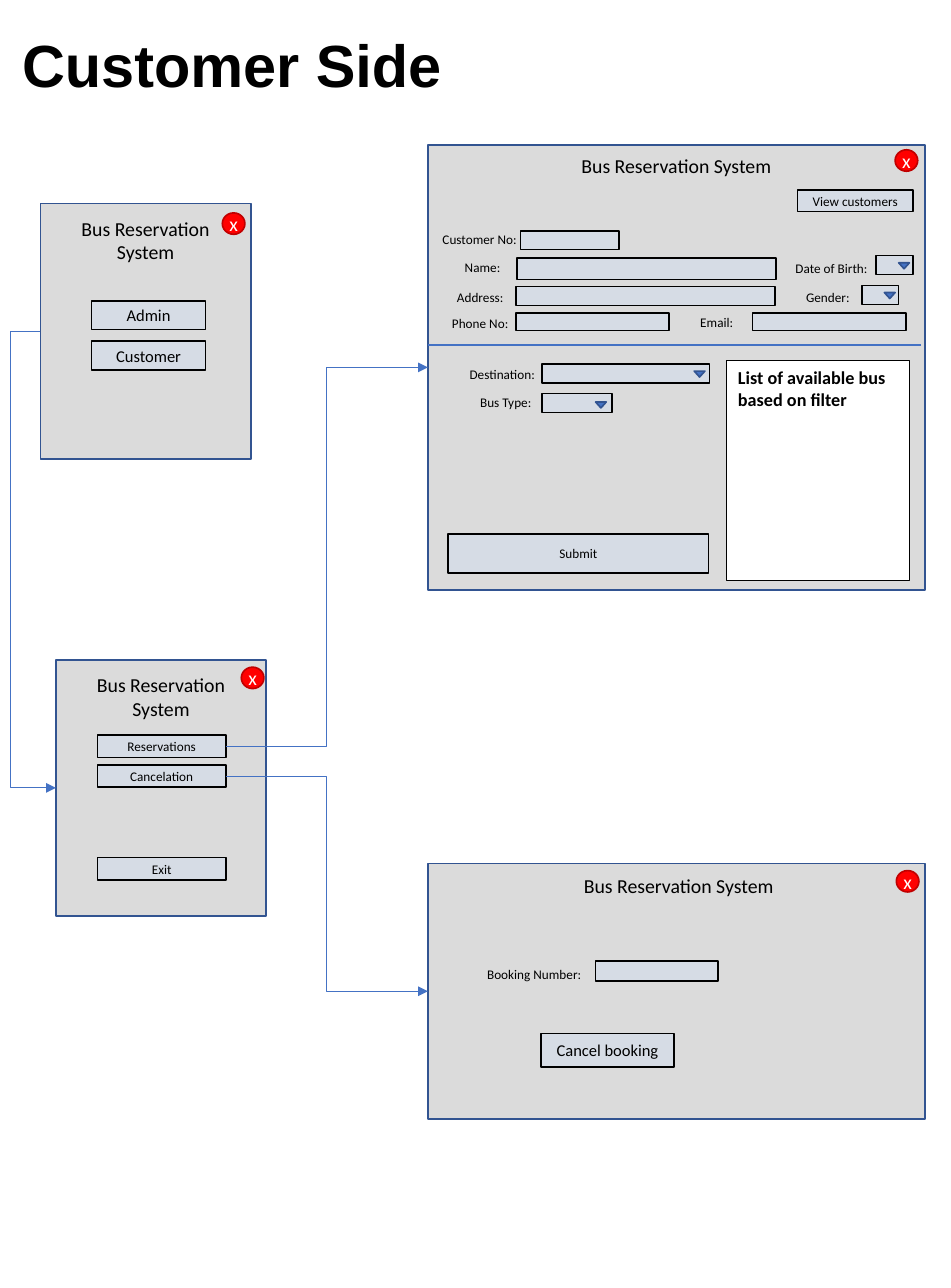
"""Build the customer-side wireframe flow of a bus reservation system."""
from dataclasses import dataclass
from typing import Optional

from lxml import etree
from pptx import Presentation
from pptx import util as u
from pptx.dml import color
from pptx.enum import shapes, text
from pptx.oxml import ns

PX = 9144
Kind = shapes.MSO_SHAPE
Link = shapes.MSO_CONNECTOR
Align = text.PP_ALIGN


@dataclass(frozen=True)
class Theme:
    ink: str = "000000"
    white: str = "FFFFFF"
    panel: str = "DBDBDB"
    field: str = "D6DCE5"
    blue: str = "4472C4"
    edge: str = "325491"
    red: str = "FF0000"
    rim: str = "C00000"
    body: str = "Calibri"
    head: str = "Arial"
    small: int = 8
    mid: int = 10
    list: int = 11
    name: int = 12
    title: int = 36


@dataclass(frozen=True)
class Box:
    x: int
    y: int
    w: int
    h: int
    words: str = ""
    size: int = Theme.small


@dataclass(frozen=True)
class Window:
    frame: Box
    name: Box
    close: tuple[int, int]
    labels: tuple[Box, ...] = ()
    fields: tuple[Box, ...] = ()
    arrows: tuple[tuple[int, int], ...] = ()


T = Theme()
NAME = "Bus Reservation System"

START = Window(
    Box(34, 171, 177, 215), Box(34, 177, 177, 50, NAME, T.name), (187, 179),
    fields=(Box(77, 253, 96, 24, "Admin", T.mid),
            Box(77, 287, 96, 24, "Customer", T.mid)))

MENU = Window(
    Box(47, 555, 177, 215), Box(47, 561, 177, 50, NAME, T.name), (203, 561),
    fields=tuple(Box(82, y, 108, 19, words) for y, words in
                 ((618, "Reservations"), (643, "Cancelation"), (721, "Exit"))))

BOOK = Window(
    Box(360, 122, 418, 374), Box(360, 124, 418, 30, NAME, T.name), (753, 126),
    labels=(Box(371, 213, 70, 24, "Name:"),
            Box(362, 190, 83, 24, "Customer No:"),
            Box(649, 214, 101, 24, "Date of Birth:"),
            Box(369, 238, 70, 24, "Address:"),
            Box(665, 238, 63, 24, "Gender:"),
            Box(369, 260, 70, 24, "Phone No:"),
            Box(568, 259, 70, 24, "Email:"),
            Box(372, 303, 101, 24, "Destination:"),
            Box(377, 327, 97, 24, "Bus Type:")),
    fields=(Box(671, 160, 97, 18, "View customers"),
            Box(435, 217, 218, 18),
            Box(438, 194, 83, 16),
            Box(434, 241, 218, 16),
            Box(725, 240, 31, 16),
            Box(737, 215, 31, 16),
            Box(434, 263, 129, 15),
            Box(633, 263, 129, 15),
            Box(456, 306, 141, 16),
            Box(456, 331, 59, 16),
            Box(377, 449, 219, 33, "Submit")),
    arrows=((744, 246), (756, 221), (584, 312), (501, 338)))

CANCEL = Window(
    Box(360, 726, 418, 215), Box(362, 730, 418, 50, NAME, T.name), (754, 732),
    labels=(Box(388, 808, 123, 24, "Booking Number:"),),
    fields=(Box(501, 808, 103, 17),
            Box(455, 869, 112, 28, "Cancel booking", T.mid)))

BUSES = Box(611, 303, 154, 185, "List of available bus based on filter", T.list)
TITLE = Box(7, 19, 376, 71, "Customer Side", T.title)


def rgb(code: str) -> color.RGBColor:
    """Turn a hex code into a colour."""
    return color.RGBColor.from_string(code)


def write(frame, box: Box, ink: str = T.ink, font: str = T.body,
          bold: bool = False, align=Align.CENTER):
    """Put the words of a box in a text frame."""
    frame.word_wrap = True
    par = frame.paragraphs[0]
    par.alignment = align
    run = par.add_run()
    run.text = box.words
    run.font.name, run.font.size = font, u.Pt(box.size)
    run.font.bold = bold
    run.font.color.rgb = rgb(ink)
    return par


def shape(slide, kind, box: Box, fill: str, line: str, width: float = 1):
    """Add a filled and outlined preset shape."""
    item = slide.shapes.add_shape(
        kind, box.x * PX, box.y * PX, box.w * PX, box.h * PX)
    item.shadow.inherit = False
    item.fill.solid()
    item.fill.fore_color.rgb = rgb(fill)
    item.line.color.rgb = rgb(line)
    item.line.width = u.Pt(width)
    return item


def label(slide, box: Box, font: str = T.body, bold: bool = False):
    """Add a text box that grows with its words."""
    item = slide.shapes.add_textbox(
        box.x * PX, box.y * PX, box.w * PX, box.h * PX)
    write(item.text_frame, box, font=font, bold=bold)
    item.text_frame.auto_size = text.MSO_AUTO_SIZE.SHAPE_TO_FIT_TEXT
    return item


def close(slide, x: int, y: int) -> None:
    """Add a round close button."""
    box = Box(x, y, 19, 18, "x", T.name)
    frame = shape(slide, Kind.OVAL, box, T.red, T.rim).text_frame
    frame.margin_left = frame.margin_right = 0
    frame.margin_top = frame.margin_bottom = 0
    frame.vertical_anchor = text.MSO_ANCHOR.MIDDLE
    write(frame, box, T.white)


def window(slide, win: Window):
    """Draw a window and return its frame and its fields."""
    frame = shape(slide, Kind.RECTANGLE, win.frame, T.panel, T.edge)
    fields = []
    for box in win.fields:
        item = shape(slide, Kind.RECTANGLE, box, T.field, T.ink)
        if box.words:
            item.text_frame.vertical_anchor = text.MSO_ANCHOR.MIDDLE
            write(item.text_frame, box)
        fields.append(item)
    for box in (win.name, *win.labels):
        label(slide, box)
    for x, y in win.arrows:
        tip = shape(slide, Kind.ISOSCELES_TRIANGLE, Box(x, y, 9, 5),
                    T.blue, T.edge)
        tip.rotation = 180
    close(slide, *win.close)
    return frame, fields


def line(slide, kind, ends: tuple[int, int, int, int], width: float):
    """Add a plain blue connector."""
    item = slide.shapes.add_connector(kind, *(n * PX for n in ends))
    item.line.color.rgb = rgb(T.blue)
    item.line.width = u.Pt(width)
    etree.SubElement(item._element.spPr, ns.qn("a:effectLst"))
    return item


def flow(slide, start, side: int, end, bend: Optional[int] = None) -> None:
    """Join a side of one shape to the left of another with an arrow."""
    item = line(slide, Link.ELBOW, (0, 0, 0, 0), 0.5)
    item.begin_connect(start, side)
    item.end_connect(end, 1)
    props = item._element.spPr
    etree.SubElement(props.find(ns.qn("a:ln")), ns.qn("a:tailEnd"),
                     type="triangle")
    if bend is not None:
        guides = props.find(ns.qn("a:prstGeom")).find(ns.qn("a:avLst"))
        etree.SubElement(guides, ns.qn("a:gd"), name="adj1",
                         fmla=f"val {bend}")


def main() -> None:
    """Build and save the slide."""
    deck = Presentation()
    deck.slide_width, deck.slide_height = 800 * PX, 1083 * PX
    slide = deck.slides.add_slide(deck.slide_layouts[6])

    book, _ = window(slide, BOOK)
    line(slide, Link.STRAIGHT, (360, 290, 775, 290), 1.5)
    buses = shape(slide, Kind.RECTANGLE, BUSES, T.white, T.ink, 0.75)
    buses.text_frame.vertical_anchor = text.MSO_ANCHOR.TOP
    par = write(buses.text_frame, BUSES, bold=True, align=Align.LEFT)
    par.space_after = u.Pt(8)

    menu, (reserve, cancel, _) = window(slide, MENU)
    form, _ = window(slide, CANCEL)
    start, _ = window(slide, START)
    label(slide, TITLE, T.head, True).text_frame.word_wrap = False

    flow(slide, reserve, 3, book)
    flow(slide, cancel, 3, form)
    flow(slide, start, 1, menu, -191500)
    deck.save("out.pptx")


if __name__ == "__main__":
    main()
